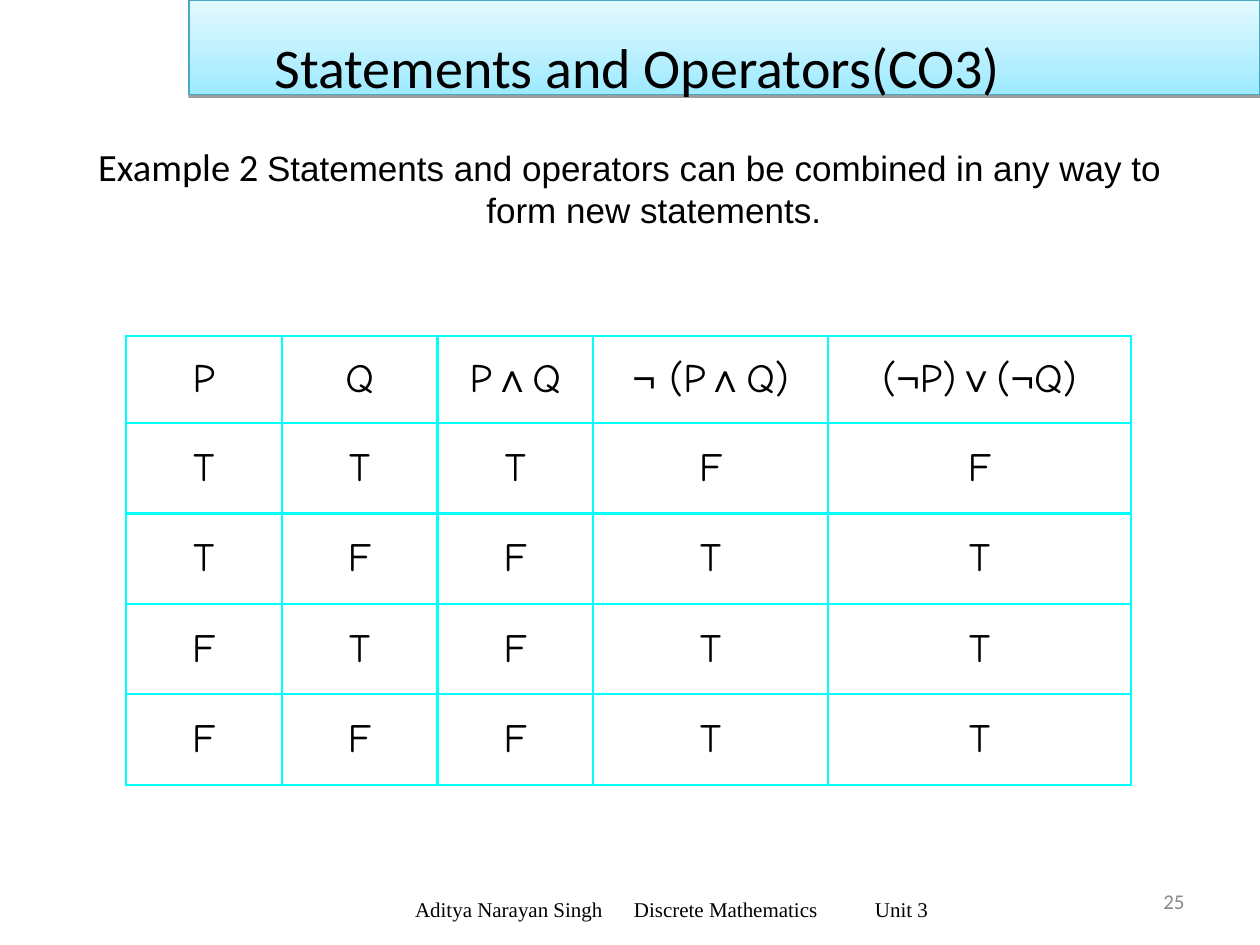
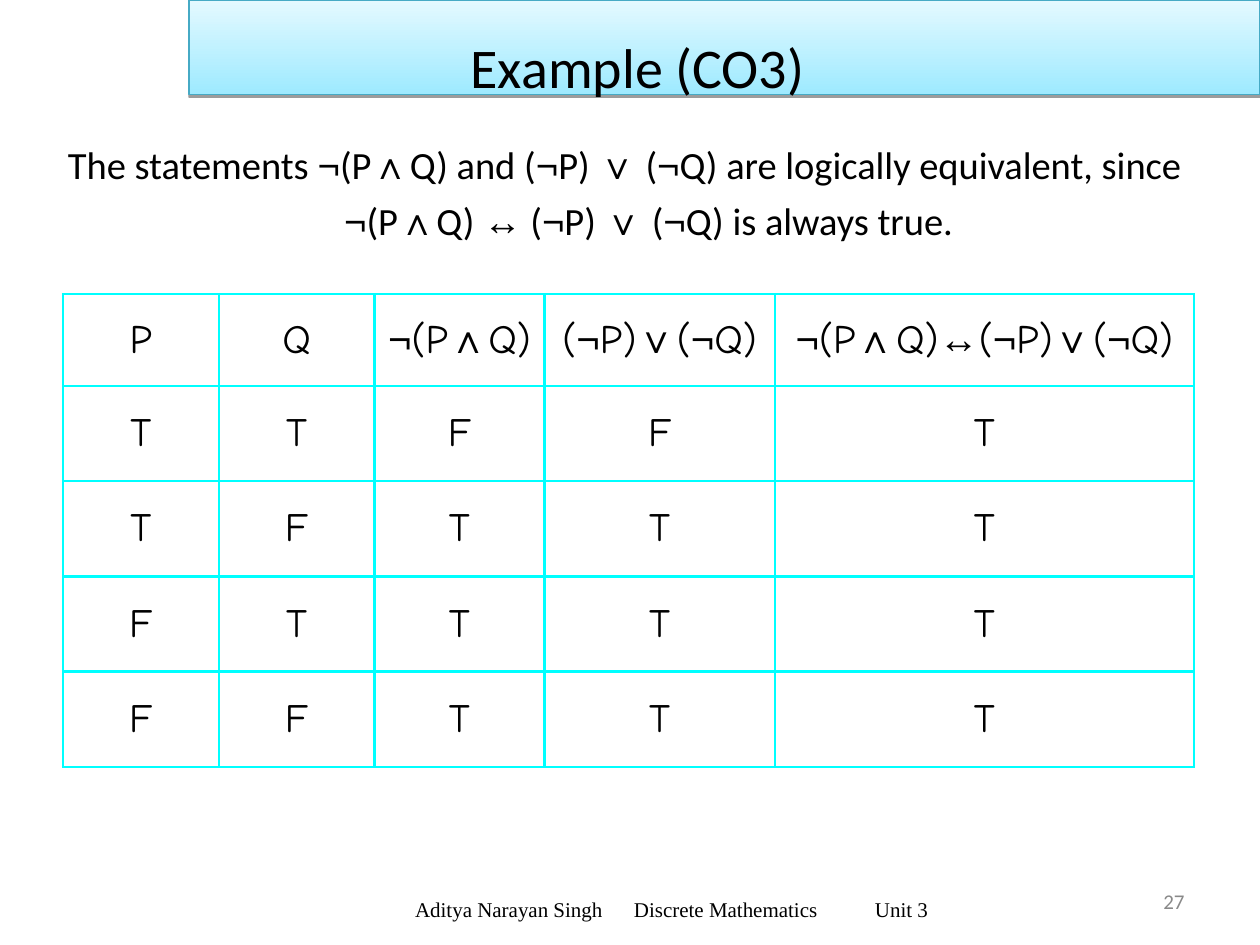
"""Build two truth-table slides on statements and operators."""
from dataclasses import dataclass
from itertools import groupby
from typing import NamedTuple

from lxml.etree import SubElement
from pptx import Presentation
from pptx.dml.color import RGBColor
from pptx.enum.shapes import MSO_SHAPE
from pptx.enum.text import MSO_ANCHOR as ANCHOR, MSO_AUTO_SIZE, PP_ALIGN as ALIGN
from pptx.oxml.ns import qn
from pptx.util import Pt

COLORS = {
    "text": "000000",
    "number": "898989",
    "band_bottom": "9EEAFF",
    "band_top": "E4F9FF",
    "band_line": "46AAC5",
    "grid": "00FFFF",
    "shadow": "000000",
}
OPERATORS = "¬∧∨↔"
OPERATOR_FONT = "Arial"
TITLE_ONLY = 5
HANGING = Pt(27.36)
FOOTER_PARTS = ("Aditya Narayan Singh", "Discrete Mathematics", "Unit 3")
FOOTER_TABS = (125.1, 262.8)


class Box(NamedTuple):
    left: float
    top: float
    width: float
    height: float


class Phrase(NamedTuple):
    text: str
    font: str
    size: float


@dataclass
class TruthTable:
    left: float
    top: float
    widths: list[float]
    header_height: float
    row_height: float
    headers: list[str]
    rows: list[str]


@dataclass
class TruthSlide:
    title: str
    number: str
    statement_box: Box
    statement: list[Phrase]
    line_spacing: float
    table: TruthTable


NUMBER_BOX = Box(516, 500.4, 168, 28.8)
BAND_BOX = Box(108, 0, 612, 54)
TITLE_BOX = Box(54, 0, 612, 66)
FOOTER_BOX = Box(186, 505.4, 396, 28.8)

SLIDES = [
    TruthSlide(
        "Statements and Operators(CO3)", "25", Box(42, 78, 636, 54),
        [Phrase("Example 2 ", "Calibri", 22),
         Phrase("Statements and operators can be combined in any way to "
                "form new statements.", "Arial", 20)],
        1.0,
        TruthTable(72, 192, [89, 89, 89, 134.3, 173], 49.7, 51.7,
                   ["P", "Q", "P∧Q", "¬ (P∧Q)", "(¬P)∨(¬Q)"],
                   ["TTTFF", "TFFTT", "FTFTT", "FFFTT"]),
    ),
    TruthSlide(
        "Example (CO3)", "27", Box(18, 72, 678, 78),
        [Phrase("The statements ¬(P∧Q) and (¬P) ∨ (¬Q) are logically equivalent, "
                "since ¬(P∧Q) ↔ (¬P) ∨ (¬Q) is always true.", "Calibri", 22)],
        1.2,
        TruthTable(36, 168, [89, 89, 97.2, 131.6, 239.6], 52.6, 54.4,
                   ["P", "Q", "¬(P∧Q)", "(¬P)∨(¬Q)", "¬(P∧Q)↔(¬P)∨(¬Q)"],
                   ["TTFFT", "TFTTT", "FTTTT", "FFTTT"]),
    ),
]


def rgb(name: str) -> RGBColor:
    """Look up a named colour."""
    return RGBColor.from_string(COLORS[name])


def points(box: Box) -> list[Pt]:
    """Convert a box to lengths."""
    return [Pt(v) for v in box]


def style(p, phrase: Phrase, align: ALIGN, color: str = "text") -> None:
    """Set the alignment and font of a paragraph."""
    p.alignment = align
    p.font.name, p.font.size = phrase.font, Pt(phrase.size)
    p.font.color.rgb = rgb(color)


def write(p, phrases: list[Phrase], align: ALIGN = ALIGN.CENTER,
          color: str = "text") -> None:
    """Write phrases as runs, with logical operators in their own font."""
    base = phrases[0]
    style(p, base, align, color)
    for phrase in phrases:
        for is_operator, chars in groupby(phrase.text, lambda c: c in OPERATORS):
            r = p.add_run()
            r.text = "".join(chars)
            font = OPERATOR_FONT if is_operator else phrase.font
            if font != base.font:
                r.font.name = font
            if phrase.size != base.size:
                r.font.size = Pt(phrase.size)
            if r.text == "↔":
                r.font.bold = True


def add_text_frame(s, box: Box, anchor: ANCHOR = ANCHOR.MIDDLE):
    """Add a wrapping text box and return its frame."""
    tf = s.shapes.add_textbox(*points(box)).text_frame
    tf.word_wrap, tf.vertical_anchor = True, anchor
    return tf


def add_band(s) -> None:
    """Add the shaded band behind the title."""
    sp = s.shapes.add_shape(MSO_SHAPE.RECTANGLE, *points(BAND_BOX))
    sp.fill.gradient()
    sp.fill.gradient_angle = 90
    for stop, name in zip(sp.fill.gradient_stops, ("band_bottom", "band_top")):
        stop.color.rgb = rgb(name)
    sp.line.color.rgb, sp.line.width = rgb("band_line"), Pt(0.75)
    sp.shadow.inherit = False
    effects = sp.element.spPr.find(qn("a:effectLst"))
    shadow = SubElement(effects, qn("a:outerShdw"), blurRad="0", dist=str(Pt(1.6)),
                        dir="5400000", rotWithShape="0")
    color = SubElement(shadow, qn("a:srgbClr"), val=COLORS["shadow"])
    SubElement(color, qn("a:alpha"), val="38000")
    s.shapes.title.element.addprevious(sp.element)


def add_title(s, text: str) -> None:
    """Place and format the title placeholder."""
    sp = s.shapes.title
    sp.left, sp.top, sp.width, sp.height = points(TITLE_BOX)
    tf = sp.text_frame
    tf.auto_size, tf.vertical_anchor = MSO_AUTO_SIZE.NONE, ANCHOR.MIDDLE
    tf.margin_left, tf.margin_top = Pt(16), Pt(13.6)
    write(tf.paragraphs[0], [Phrase(text, "Calibri", 32)])


def add_statement(s, slide: TruthSlide) -> None:
    """Add the statement with its hanging indent."""
    p = add_text_frame(s, slide.statement_box, ANCHOR.TOP).paragraphs[0]
    pPr = p._p.get_or_add_pPr()
    pPr.set("marL", str(HANGING))
    pPr.set("indent", str(-HANGING))
    p.line_spacing = slide.line_spacing
    write(p, slide.statement)


def add_borders(cell) -> None:
    """Draw all four borders of a cell."""
    tcPr = cell._tc.get_or_add_tcPr()
    for side in "LRTB":
        ln = SubElement(tcPr, qn(f"a:ln{side}"), w=str(Pt(1.47)))
        fill = SubElement(ln, qn("a:solidFill"))
        SubElement(fill, qn("a:srgbClr"), val=COLORS["grid"])


def add_truth_table(s, t: TruthTable) -> None:
    """Add a truth table with a header row."""
    content = [t.headers, *t.rows]
    heights = [t.header_height] + [t.row_height] * len(t.rows)
    box = Box(t.left, t.top, sum(t.widths), sum(heights))
    table = s.shapes.add_table(len(content), len(t.widths), *points(box)).table
    table.first_row = table.horz_banding = False
    for column, width in zip(table.columns, t.widths):
        column.width = Pt(width)
    for row, height, texts in zip(table.rows, heights, content):
        row.height = Pt(height)
        for cell, text in zip(row.cells, texts):
            add_borders(cell)
            cell.fill.background()
            cell.vertical_anchor = ANCHOR.MIDDLE
            write(cell.text_frame.paragraphs[0], [Phrase(text, "Comic Neue", 23)])


def add_footer(s) -> None:
    """Add the course footer, spread over tab stops."""
    tf = add_text_frame(s, FOOTER_BOX)
    tf.margin_left = Pt(51.2)
    p = tf.paragraphs[0]
    tabs = SubElement(p._p.get_or_add_pPr(), qn("a:tabLst"))
    for position in FOOTER_TABS:
        SubElement(tabs, qn("a:tab"), pos=str(Pt(position)), algn="l")
    write(p, [Phrase("\t".join(FOOTER_PARTS), "Times New Roman", 12)], ALIGN.LEFT)


def add_slide(prs, slide: TruthSlide) -> None:
    """Build one slide."""
    s = prs.slides.add_slide(prs.slide_layouts[TITLE_ONLY])
    number = add_text_frame(s, NUMBER_BOX).paragraphs[0]
    write(number, [Phrase(slide.number, "Calibri", 12)], ALIGN.RIGHT, "number")
    add_band(s)
    add_title(s, slide.title)
    add_statement(s, slide)
    add_truth_table(s, slide.table)
    add_footer(s)


def main() -> None:
    """Build and save the presentation."""
    prs = Presentation()
    prs.slide_width, prs.slide_height = Pt(720), Pt(540)
    for slide in SLIDES:
        add_slide(prs, slide)
    prs.save("out.pptx")


if __name__ == "__main__":
    main()
